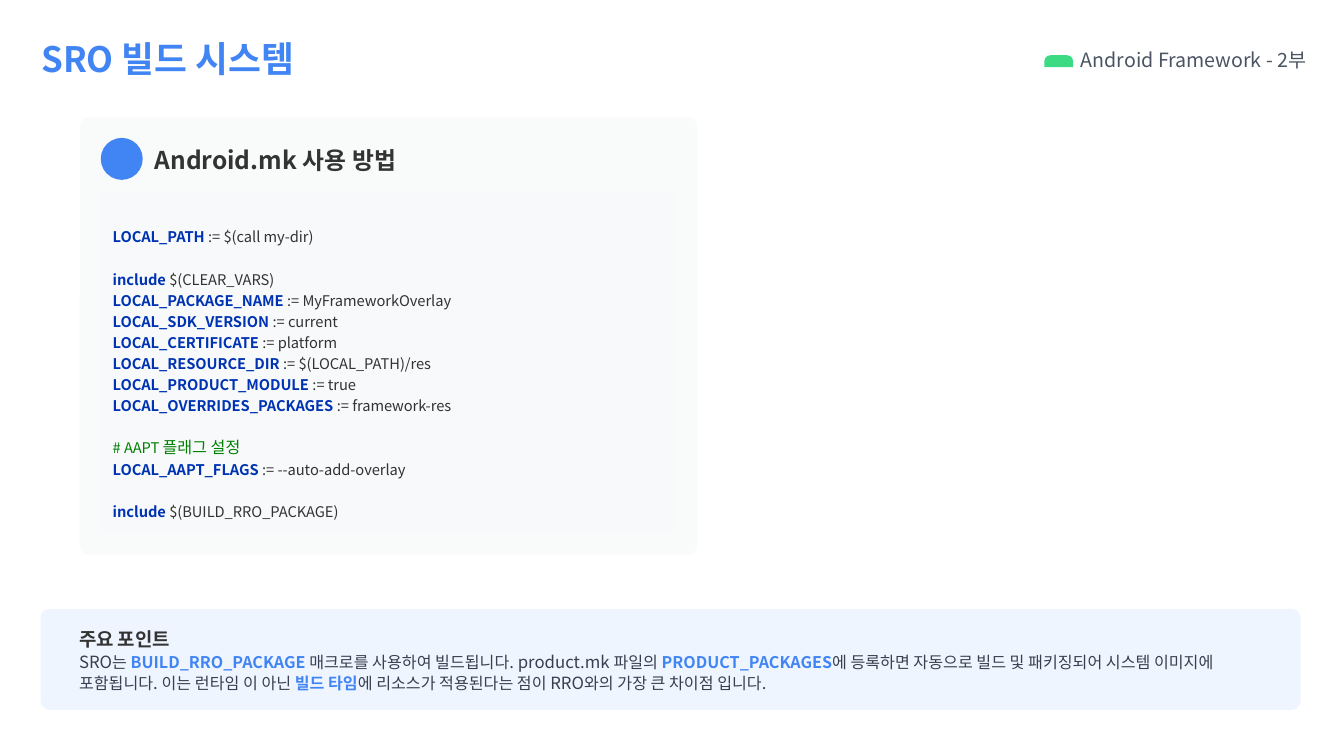
from lxml.etree import SubElement
from pptx import Presentation
from pptx.dml.color import RGBColor
from pptx.enum.shapes import MSO_SHAPE
from pptx.enum.text import MSO_ANCHOR, PP_ALIGN
from pptx.oxml.ns import qn
from pptx.util import Pt

FONT = "Noto Sans CJK KR"
BLUE, DARK, BODY = "4185F4", "333333", "374050"
KEYWORD, COMMENT = "0033B3", "008000"

CODE_BLOCKS = [
    [("LOCAL_PATH", ":= $(call my-dir)")],
    [
        ("include", "$(CLEAR_VARS)"),
        ("LOCAL_PACKAGE_NAME", ":= MyFrameworkOverlay"),
        ("LOCAL_SDK_VERSION", ":= current"),
        ("LOCAL_CERTIFICATE", ":= platform"),
        ("LOCAL_RESOURCE_DIR", ":= $(LOCAL_PATH)/res"),
        ("LOCAL_PRODUCT_MODULE", ":= true"),
        ("LOCAL_OVERRIDES_PACKAGES", ":= framework-res"),
    ],
    [
        ("# AAPT", "플래그 설정"),
        ("LOCAL_AAPT_FLAGS", ":= --auto-add-overlay"),
    ],
    [("include", "$(BUILD_RRO_PACKAGE)")],
]

KEY_POINT = [
    ("SRO", 12, BODY, False),
    ("는 ", 11.5, BODY, False),
    ("BUILD_RRO_PACKAGE ", 11.5, BLUE, True),
    ("매크로를 사용하여 빌드됩니다", 11.5, BODY, False),
    (". product.mk ", 12, BODY, False),
    ("파일의 ", 11.5, BODY, False),
    ("PRODUCT_PACKAGES", 11.5, BLUE, True),
    ("에 등록하면 자동으로 빌드 및 패키징되어 시스템 이미지에 포함됩니다", 11.5, BODY, False),
    (". ", 12, BODY, False),
    ("이는 런타임 이 아닌 ", 11.5, BODY, False),
    ("빌드 타임", 11.5, BLUE, True),
    ("에 리소스가 적용된다는 점이 ", 11.5, BODY, False),
    ("RRO", 12, BODY, False),
    ("와의 가장 큰 차이점 입니다", 11.5, BODY, False),
    (".", 12, BODY, False),
]


def rgb(color):
    return RGBColor.from_string(color)


def add_panel(slide, kind, left, top, width, height, color, radius=None):
    panel = slide.shapes.add_shape(kind, Pt(left), Pt(top), Pt(width), Pt(height))
    panel.shadow.inherit = False
    panel.fill.solid()
    panel.fill.fore_color.rgb = rgb(color)
    panel.line.fill.background()
    if radius:
        panel.adjustments[0] = radius / min(width, height)


def clear_margins(frame):
    frame.margin_left = frame.margin_right = frame.margin_bottom = 0
    frame.margin_top = Pt(1)
    frame.vertical_anchor = MSO_ANCHOR.TOP
    frame.word_wrap = True


def write(paragraph, pieces):
    paragraph.alignment = PP_ALIGN.LEFT
    for text, size, color, bold in pieces:
        run = paragraph.add_run()
        run.text = text
        run.font.size = Pt(size)
        run.font.bold = bold
        run.font.color.rgb = rgb(color)
        run.font.name = FONT
        SubElement(run.font._element, qn("a:ea"), typeface=FONT)


def add_text(slide, left, top, width, height, pieces):
    box = slide.shapes.add_textbox(Pt(left), Pt(top), Pt(width), Pt(height))
    clear_margins(box.text_frame)
    write(box.text_frame.paragraphs[0], pieces)
    return box.text_frame


def set_title(slide, pieces):
    title = slide.shapes.title
    title.left, title.top, title.width, title.height = Pt(29.5), Pt(25), Pt(428), Pt(32)
    clear_margins(title.text_frame)
    write(title.text_frame.paragraphs[0], pieces)


def code_pieces(name, value):
    if name.startswith("#"):
        return [(name + " ", 10.5, COMMENT, False), (value, 11.5, COMMENT, False)]
    return [(name + " ", 10.5, KEYWORD, True), (value, 10.5, DARK, False)]


def add_code(slide, left, top, width, height):
    frame = add_text(slide, left, top, width, height, [])
    for block_index, block in enumerate(CODE_BLOCKS):
        for line_index, (name, value) in enumerate(block):
            first = block_index == line_index == 0
            line = frame.paragraphs[0] if first else frame.add_paragraph()
            line.line_spacing = Pt(15.1)
            line.space_before = Pt(15 if block_index and not line_index else 0)
            write(line, code_pieces(name, value))


def main():
    deck = Presentation()
    deck.slide_width, deck.slide_height = Pt(960), Pt(540)
    slide = deck.slides.add_slide(deck.slide_layouts[5])

    set_title(slide, [("SRO ", 25, BLUE, True), ("빌드 시스템", 25.5, BLUE, True)])
    add_panel(slide, MSO_SHAPE.ROUND_2_SAME_RECTANGLE, 746, 39.5, 20.5, 8.5, "3CDB83", 4.25)
    add_text(slide, 772, 33.5, 188, 18,
             [("Android Framework - 2부", 14, "4A5462", False)])

    add_panel(slide, MSO_SHAPE.ROUNDED_RECTANGLE, 57, 84, 441, 312, "F9FAFA", 6)
    add_panel(slide, MSO_SHAPE.ROUNDED_RECTANGLE, 72, 138, 411, 243, "F7F9FA", 4)
    add_panel(slide, MSO_SHAPE.OVAL, 72, 98.5, 30, 30, BLUE)
    add_text(slide, 110.5, 102.5, 238, 22,
             [("Android.mk ", 17.5, DARK, True), ("사용 방법", 17, DARK, True)])
    add_code(slide, 80.5, 159.5, 390, 212)

    add_panel(slide, MSO_SHAPE.ROUNDED_RECTANGLE, 29, 435, 900, 72, "EFF5FF", 6)
    points = add_text(slide, 56.5, 447.5, 853, 47, [("주요 포인트", 13.5, DARK, True)])
    explanation = points.add_paragraph()
    explanation.line_spacing = 1.04
    explanation.space_before = Pt(0.5)
    write(explanation, KEY_POINT)

    deck.save("out.pptx")


if __name__ == "__main__":
    main()
